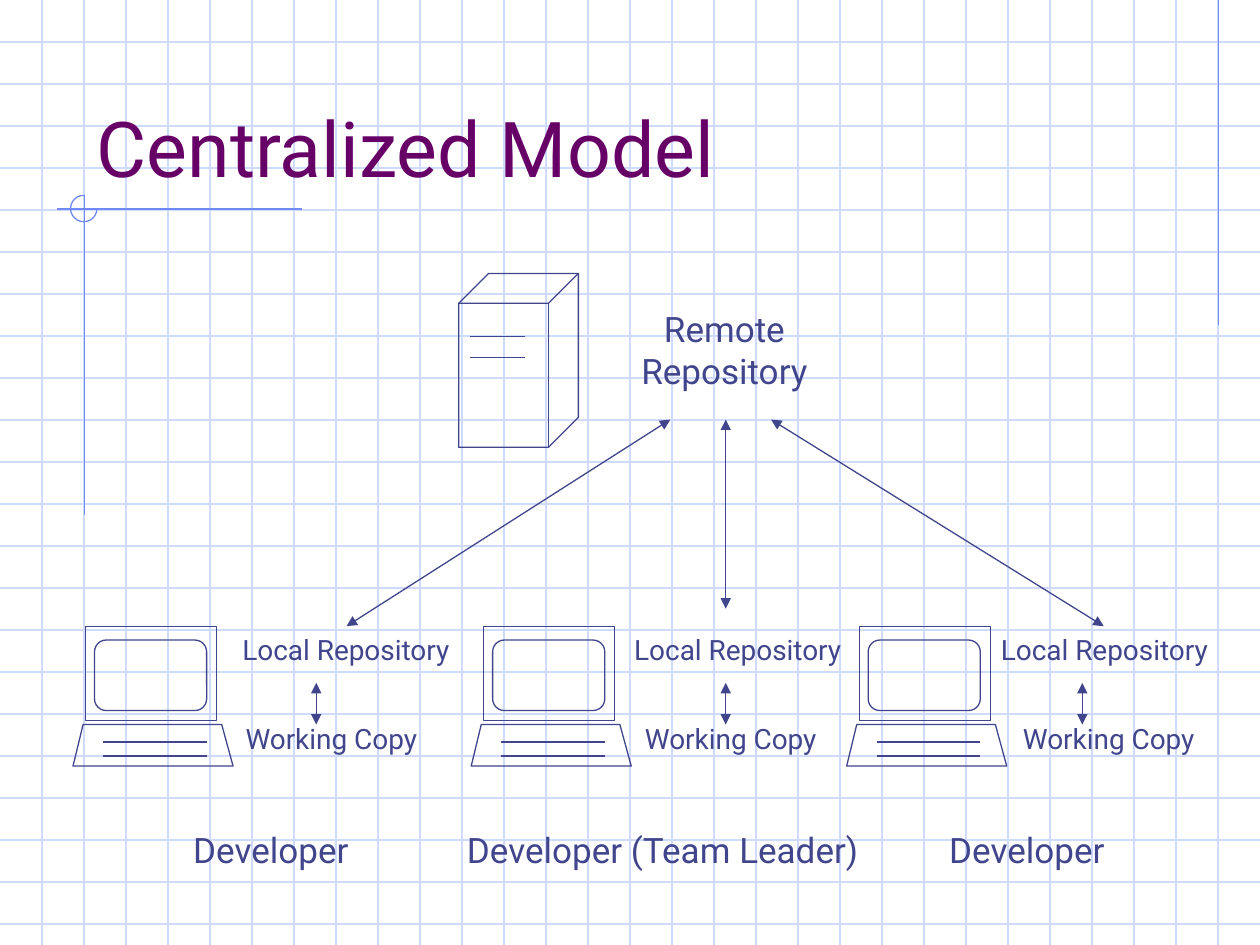
"""Build the Centralized Model version-control slide."""
from dataclasses import dataclass

from lxml import etree
from pptx import Presentation
from pptx.dml.color import RGBColor
from pptx.enum.shapes import MSO_CONNECTOR, MSO_SHAPE
from pptx.enum.text import MSO_ANCHOR, PP_ALIGN
from pptx.oxml.ns import qn
from pptx.util import Inches, Pt

STRAIGHT = MSO_CONNECTOR.STRAIGHT
RECT, ROUNDED = MSO_SHAPE.RECTANGLE, MSO_SHAPE.ROUNDED_RECTANGLE
CUBE, ARC = MSO_SHAPE.CUBE, MSO_SHAPE.ARC
TOP, BOTTOM = MSO_ANCHOR.TOP, MSO_ANCHOR.BOTTOM
LEFT, CENTER = PP_ALIGN.LEFT, PP_ALIGN.CENTER


@dataclass(frozen=True)
class Theme:
    font: str = "Roboto"
    title: RGBColor = RGBColor(0x66, 0x00, 0x66)
    ink: RGBColor = RGBColor(0x40, 0x45, 0x8C)
    grid: RGBColor = RGBColor(0xCF, 0xDB, 0xFD)
    accent: RGBColor = RGBColor(0x6F, 0x89, 0xF7)
    title_size: int = 44
    label_size: int = 20
    item_size: int = 16
    line: float = 0.75


@dataclass(frozen=True)
class Box:
    x: float
    y: float
    w: float
    h: float


@dataclass(frozen=True)
class Line:
    x1: float
    y1: float
    x2: float
    y2: float


@dataclass(frozen=True)
class Workstation:
    x: float
    repository_x: float
    copy_x: float
    arrow_x: float
    role: str
    role_box: Box


THEME = Theme()
WIDTH, HEIGHT, GRID_STEP = 10, 7.5, 1 / 3
WORKSTATIONS = (
    Workstation(0.58, 1.79, 1.8, 2.51, "Developer", Box(1.38, 6.53, 1.54, 0.44)),
    Workstation(3.74, 4.9, 4.97, 5.76, "Developer (Team Leader)", Box(3.52, 6.53, 3.48, 0.44)),
    Workstation(6.72, 7.81, 7.97, 8.59, "Developer", Box(7.38, 6.53, 1.54, 0.44)),
)
SYNC_ARROWS = (
    Line(2.75, 4.97, 5.32, 3.33),
    Line(5.76, 3.33, 5.76, 4.83),
    Line(6.12, 3.33, 8.76, 4.97),
)
FRAME_LINES = (
    Line(9.67, 0, 9.67, 2.58),
    Line(2.4, 1.66, 0.45, 1.66),
    Line(0.67, 1.55, 0.67, 4.09),
)


def add_line(s, line: Line, color: RGBColor = THEME.ink, arrows: bool = False) -> None:
    """Draw a straight line, optionally with an arrowhead at each end."""
    c = s.shapes.add_connector(
        STRAIGHT, Inches(line.x1), Inches(line.y1), Inches(line.x2), Inches(line.y2)
    )
    c.line.color.rgb = color
    c.line.width = Pt(THEME.line)
    if arrows:
        ln = c.line._get_or_add_ln()
        for end in ("a:headEnd", "a:tailEnd"):
            etree.SubElement(ln, qn(end), type="triangle")
    etree.SubElement(c._element.spPr, qn("a:effectLst"))


def outline(sp, color: RGBColor = THEME.ink) -> None:
    """Leave a shape unfilled with a thin outline."""
    sp.shadow.inherit = False
    sp.fill.background()
    sp.line.color.rgb = color
    sp.line.width = Pt(THEME.line)


def add_outline(s, kind: MSO_SHAPE, box: Box, adjustments: tuple[float, ...] = (),
                color: RGBColor = THEME.ink) -> None:
    """Draw an outlined preset shape."""
    sp = s.shapes.add_shape(kind, Inches(box.x), Inches(box.y), Inches(box.w), Inches(box.h))
    for i, value in enumerate(adjustments):
        sp.adjustments[i] = value
    outline(sp, color)


def add_text(s, text: str, box: Box, size: int, color: RGBColor = THEME.ink,
             align: PP_ALIGN = CENTER, anchor: MSO_ANCHOR = TOP, wrap: bool = False) -> None:
    """Add a text box with one paragraph per line of text."""
    tf = s.shapes.add_textbox(
        Inches(box.x), Inches(box.y), Inches(box.w), Inches(box.h)
    ).text_frame
    tf.word_wrap = wrap
    tf.vertical_anchor = anchor
    tf.text = text
    for p in tf.paragraphs:
        p.alignment = align
        p.font.name = THEME.font
        p.font.size = Pt(size)
        p.font.color.rgb = color


def add_background(s) -> None:
    """Draw the graph-paper grid and the accent frame."""
    for i in range(1, int(HEIGHT / GRID_STEP) + 1):
        add_line(s, Line(0, i * GRID_STEP, WIDTH, i * GRID_STEP), THEME.grid)
    for i in range(1, round(WIDTH / GRID_STEP)):
        add_line(s, Line(i * GRID_STEP, 0, i * GRID_STEP, HEIGHT), THEME.grid)
    for line in FRAME_LINES:
        add_line(s, line, THEME.accent)
    add_outline(s, ARC, Box(0.56, 1.55, 0.21, 0.21), (0, 162), THEME.accent)


def add_server(s) -> None:
    """Draw the remote repository server."""
    add_text(s, "Remote\nRepository", Box(4.95, 2.39, 1.6, 0.77), THEME.label_size)
    add_outline(s, CUBE, Box(3.64, 2.17, 0.95, 1.38), (0.25,))
    for y in (2.67, 2.84):
        add_line(s, Line(3.73, y, 4.17, y))


def add_workstation(s, station: Workstation) -> None:
    """Draw a laptop with its repository, working copy and role."""
    x = station.x
    add_outline(s, RECT, Box(x + 0.1, 4.97, 1.04, 0.75))
    fb = s.shapes.build_freeform(Inches(x), Inches(6.08))
    fb.add_line_segments(
        [(Inches(x + dx), Inches(y)) for dx, y in ((0.08, 5.75), (1.18, 5.75), (1.27, 6.08))]
    )
    outline(fb.convert_to_shape())
    add_outline(s, ROUNDED, Box(x + 0.17, 5.08, 0.89, 0.56), (0.167,))
    for y in (5.89, 6):
        add_line(s, Line(x + 0.24, y, x + 1.06, y))
    add_text(s, "Local Repository", Box(station.repository_x, 4.97, 1.91, 0.37), THEME.item_size)
    add_text(s, "Working Copy", Box(station.copy_x, 5.68, 1.66, 0.37), THEME.item_size)
    add_line(s, Line(station.arrow_x, 5.42, station.arrow_x, 5.75), arrows=True)
    add_text(s, station.role, station.role_box, THEME.label_size)


def main() -> None:
    """Build and save the slide."""
    prs = Presentation()
    prs.slide_width, prs.slide_height = Inches(WIDTH), Inches(HEIGHT)
    s = prs.slides.add_slide(prs.slide_layouts[6])
    add_background(s)
    add_text(s, "Centralized Model", Box(0.67, 0.33, 8.5, 1.25), THEME.title_size,
             THEME.title, LEFT, BOTTOM, wrap=True)
    add_server(s)
    for station in WORKSTATIONS:
        add_workstation(s, station)
    for arrow in SYNC_ARROWS:
        add_line(s, arrow, arrows=True)
    prs.save("out.pptx")


if __name__ == "__main__":
    main()
